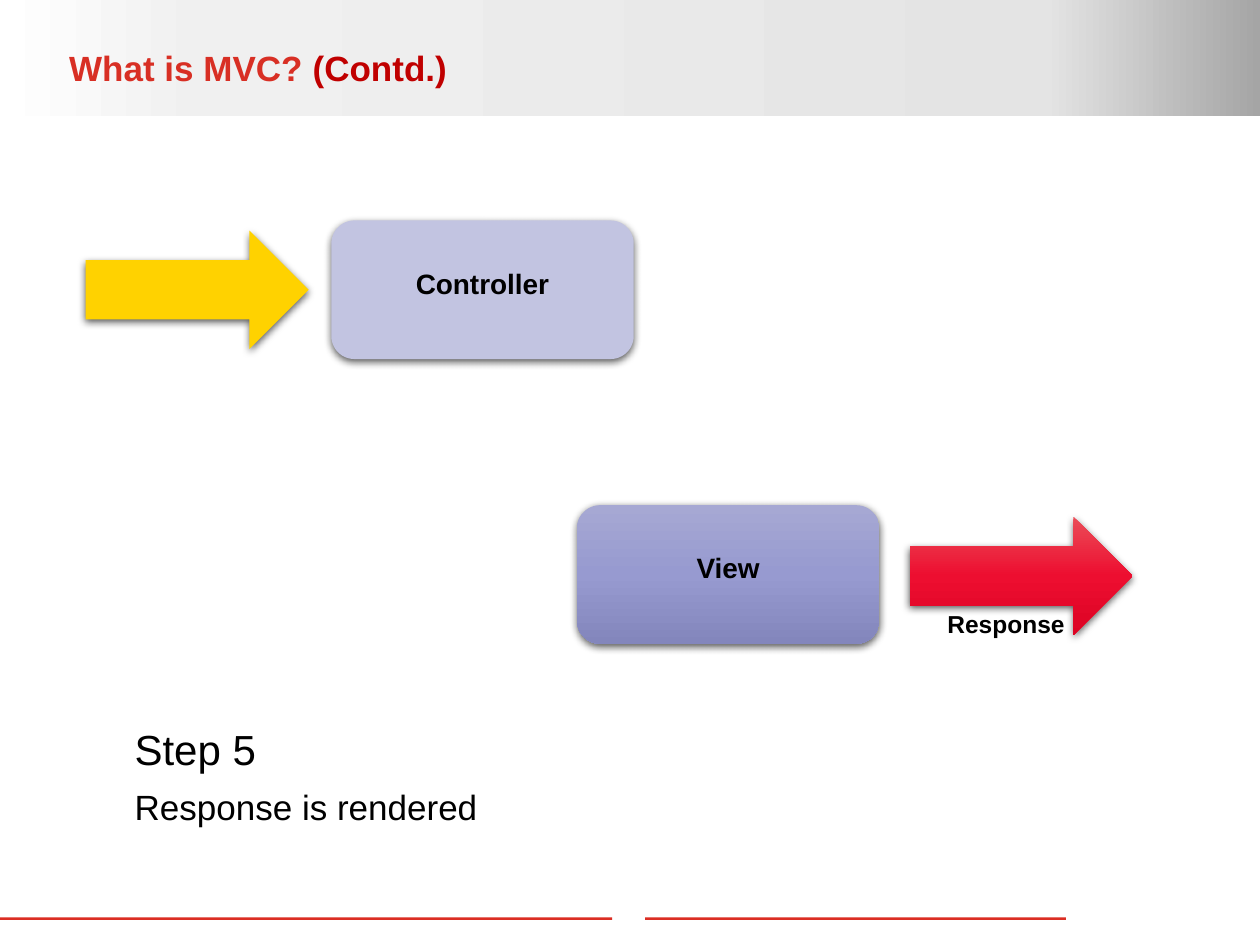
from pptx import Presentation
from pptx.dml.color import RGBColor
from pptx.enum.shapes import MSO_SHAPE
from pptx.enum.text import MSO_ANCHOR, PP_ALIGN
from pptx.oxml import parse_xml
from pptx.oxml.ns import nsdecls
from pptx.util import Inches, Pt

RECT, ROUND, ARROW = MSO_SHAPE.RECTANGLE, MSO_SHAPE.ROUNDED_RECTANGLE, MSO_SHAPE.RIGHT_ARROW
TOP, MIDDLE = MSO_ANCHOR.TOP, MSO_ANCHOR.MIDDLE
LEFT, CENTER = PP_ALIGN.LEFT, PP_ALIGN.CENTER

THEME = {
    "font": "Arial",
    "ink": "000000", "title": "D82F24", "contd": "C00000", "rule": "DB2E23",
    "yellow": "FFD200", "lilac": "C2C4E1",
    "band": (180, [(0, "A5A5A5"), (17, "E4E4E4"), (84, "F0F0F0"), (100, "FFFFFF")]),
    "red": (90, [(0, "EB4D58"), (50, "ED0E30"), (100, "DC0324")]),
    "violet": (90, [(0, "A6A8D3"), (50, "979AD0"), (100, "8386BC")]),
    "head": 20, "step": 24, "body": 20, "box": 16, "label": 14,
}


def draw(kind, spot, fill, shade=True):
    shape = slide.shapes.add_shape(kind, *map(Inches, spot))
    shape.line.fill.background()
    shape.shadow.inherit = False
    props = shape._element.spPr
    paint = THEME[fill]
    if isinstance(paint, str):
        shape.fill.solid()
        shape.fill.fore_color.rgb = RGBColor.from_string(paint)
    else:
        angle, stops = paint
        marks = "".join(
            f'<a:gs pos="{pos * 1000}"><a:srgbClr val="{hue}"/></a:gs>' for pos, hue in stops
        )
        props.insert(2, parse_xml(
            f'<a:gradFill {nsdecls("a")} rotWithShape="1"><a:gsLst>{marks}</a:gsLst>'
            f'<a:lin ang="{angle * 60000}" scaled="0"/></a:gradFill>'
        ))
    if shade:
        props[-1].append(parse_xml(
            f'<a:outerShdw {nsdecls("a")} blurRad="{Pt(4.5)}" dist="{Pt(1.5)}" dir="5400000" '
            'rotWithShape="0"><a:srgbClr val="000000"><a:alpha val="63000"/></a:srgbClr></a:outerShdw>'
        ))
    return shape


def write(shape, lines, frame, para):
    text = shape.text_frame
    for key, value in ({"word_wrap": True, "vertical_anchor": TOP} | frame).items():
        setattr(text, key, value)
    for row, runs in enumerate(lines):
        item = text.add_paragraph() if row else text.paragraphs[0]
        for key, value in para.items():
            setattr(item, key, value)
        if row:
            item.space_before = Pt(3)
        for words, size, hue, bold in runs:
            run = item.add_run()
            run.text = words
            look = {"name": THEME["font"], "size": Pt(THEME[size]), "bold": bold}
            for key, value in look.items():
                setattr(run.font, key, value)
            run.font.color.rgb = RGBColor.from_string(THEME[hue])


deck = Presentation()
deck.slide_width, deck.slide_height = Inches(10), Inches(7.5)
slide = deck.slides.add_slide(deck.slide_layouts[6])

draw(RECT, (0, 0, 10, 0.92), "band", False)
for left, width in ((0, 4.86), (5.12, 3.34)):
    draw(RECT, (left, 7.28, width, 0.02), "rule", False)

for left, top, fill in ((0.68, 1.83, "yellow"), (7.22, 4.1, "red")):
    draw(ARROW, (left, top, 1.77, 0.94), fill)

for name, left, top, fill in (("Controller", 2.63, 1.75, "lilac"), ("View", 4.58, 4.01, "violet")):
    box = draw(ROUND, (left, top, 2.4, 1.1), fill)
    write(box, [[(name, "box", "ink", True)]], {"margin_top": Inches(0.31)}, {"alignment": CENTER})

bare = dict.fromkeys(("margin_left", "margin_top", "margin_right", "margin_bottom"), 0)
texts = (
    ((7.22, 4.83, 1.53, 0.24), [[("Response", "label", "ink", True)]],
     bare, {"alignment": CENTER}),
    ((0.97, 5.74, 8.14, 1.22),
     [[("Step 5", "step", "ink", False)], [("Response is rendered", "body", "ink", False)]],
     {}, {"alignment": LEFT, "line_spacing": 0.9, "space_after": Pt(6)}),
    ((0.45, 0.22, 8.55, 0.67),
     [[("What is MVC? ", "head", "title", True), ("(Contd.)", "head", "contd", True)]],
     {"vertical_anchor": MIDDLE}, {"alignment": LEFT, "line_spacing": 0.9}),
)
for spot, lines, frame, para in texts:
    write(slide.shapes.add_textbox(*map(Inches, spot)), lines, frame, para)

deck.save("out.pptx")
